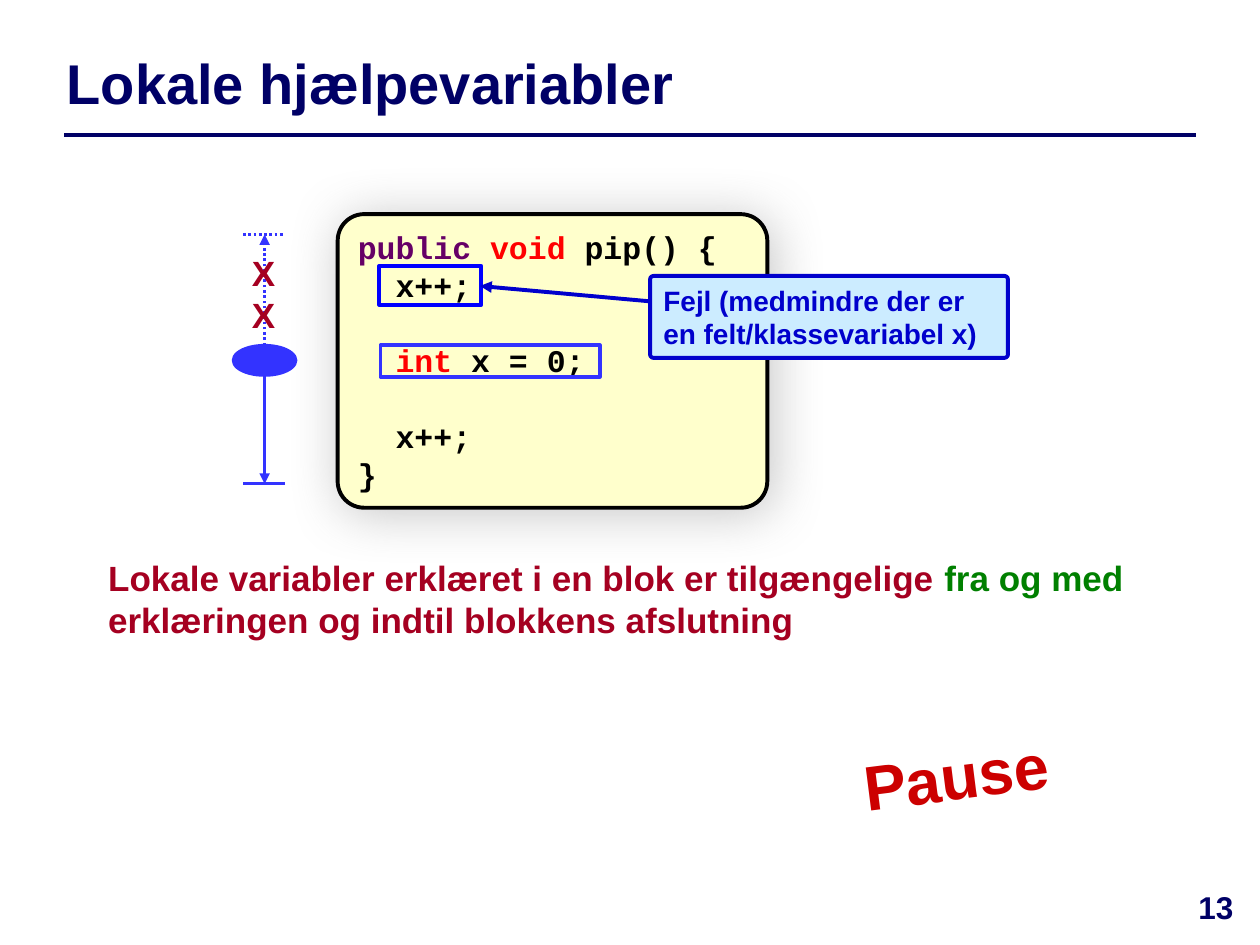
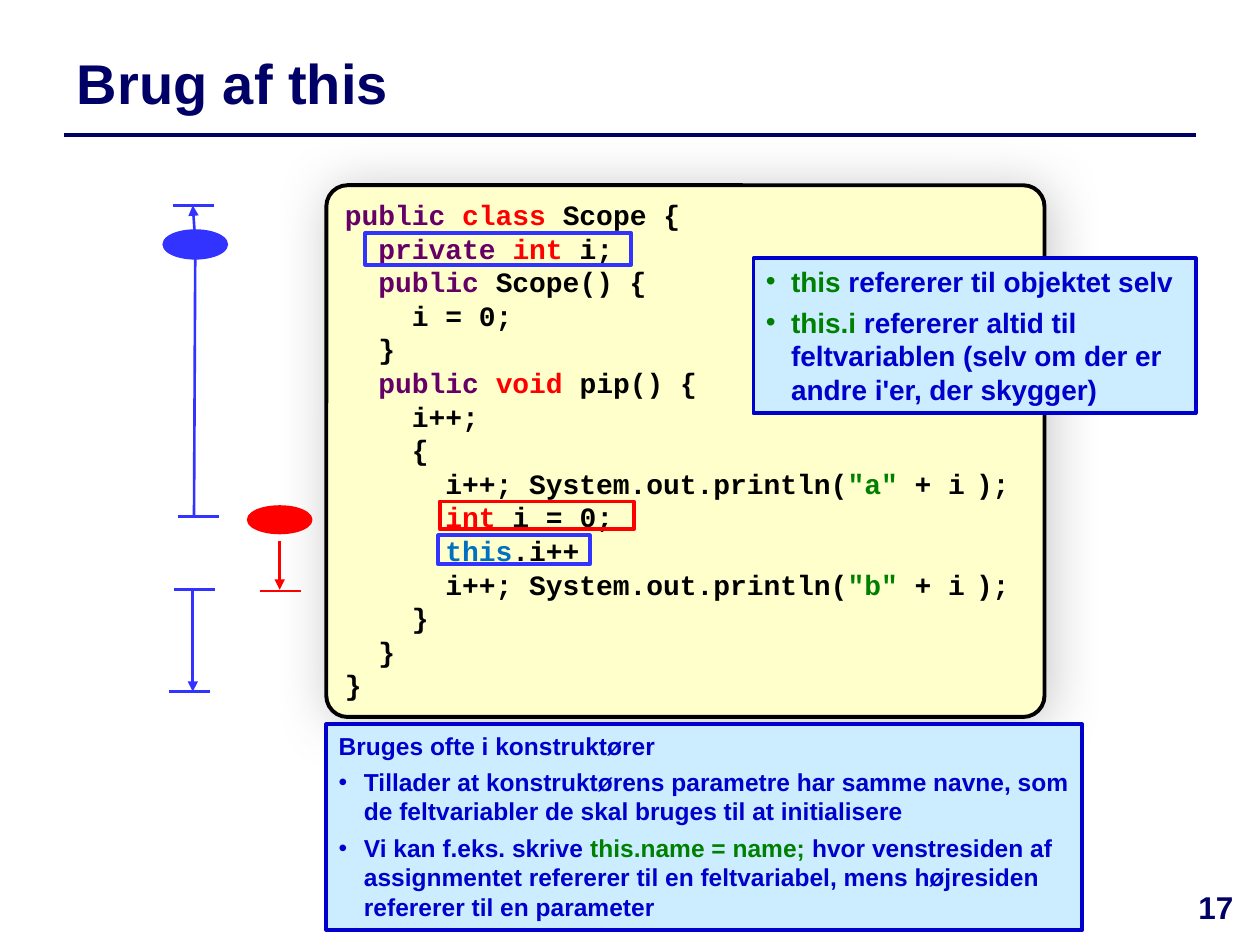
"""Build two slides on the scope of local variables and the use of this."""
from dataclasses import dataclass

from lxml.etree import SubElement
from pptx import Presentation
from pptx.dml.color import RGBColor
from pptx.enum.dml import MSO_LINE as Dash
from pptx.enum.shapes import MSO_CONNECTOR as Connector, MSO_SHAPE as Shape
from pptx.enum.text import MSO_ANCHOR as Anchor, PP_ALIGN as Align
from pptx.oxml.ns import qn
from pptx.util import Pt

PX = 9144


@dataclass(frozen=True)
class Theme:
    sans: str = "Arial"
    mono: str = "Courier New"
    navy: str = "000066"
    ink: str = "000000"
    purple: str = "660066"
    red: str = "FF0000"
    green: str = "008000"
    sky: str = "0070C0"
    crimson: str = "A50021"
    pause_red: str = "CC0000"
    note_blue: str = "0000CC"
    note_fill: str = "CCECFF"
    code_fill: str = "FFFFCC"
    scope_blue: str = "3333FF"
    frame_blue: str = "0000FF"
    shadow: str = "808080"
    title: float = 32
    pause: float = 36
    body: float = 20
    number: float = 18
    code: float = 18
    note: float = 16
    small: float = 14
    narrow: float = 10.5
    leading: float = 1.2
    thick: float = 2.25
    thin: float = 1.5


theme = Theme()


def draw(page, at, lines=(), size=theme.note, color=theme.note_blue, font=theme.sans,
         kind=None, fill=None, edge=None, weight=theme.thick, align=Align.LEFT,
         gaps=None, bullets=()):
    """Add a text box or preset shape and write its lines run by run."""
    place = [value * PX for value in at]
    if kind is None:
        box = page.shapes.add_textbox(*place)
    else:
        box = page.shapes.add_shape(kind, *place)
        box.shadow.inherit = False
        box.line.color.rgb = RGBColor.from_string(edge)
        box.line.width = Pt(weight)
        if fill:
            box.fill.solid()
            box.fill.fore_color.rgb = RGBColor.from_string(fill)
        else:
            box.fill.background()
    frame = box.text_frame
    frame.word_wrap = True
    frame.vertical_anchor = Anchor.TOP
    for index, line in enumerate(lines):
        para = frame.add_paragraph() if index else frame.paragraphs[0]
        para.alignment = align
        para.line_spacing = Pt(size * theme.leading)
        if gaps and index in gaps:
            para.space_before = Pt(gaps[index])
        if index in bullets:
            props = para._p.get_or_add_pPr()
            props.set("marL", str(20 * PX))
            props.set("indent", str(-20 * PX))
            SubElement(props, qn("a:buFont")).set("typeface", theme.sans)
            SubElement(props, qn("a:buChar")).set("char", "•")
        for part in line:
            text, tint, points = (part, color, size) if isinstance(part, str) else (*part, size)[:3]
            span = para.add_run()
            span.text = text
            span.font.name = font
            span.font.size = Pt(points)
            span.font.bold = True
            span.font.color.rgb = RGBColor.from_string(tint)
    return box


def connect(page, ends, color=theme.scope_blue, weight=theme.thin, arrow=False, dash=None):
    """Add a straight line, with an arrowhead at its end if wanted."""
    line = page.shapes.add_connector(Connector.STRAIGHT, *[value * PX for value in ends])
    line.line.color.rgb = RGBColor.from_string(color)
    line.line.width = Pt(weight)
    if dash:
        line.line.dash_style = dash
    if arrow:
        SubElement(line.line._get_or_add_ln(), qn("a:tailEnd")).set("type", "triangle")
    SubElement(line.element.spPr, qn("a:effectLst"))


deck = Presentation()
deck.slide_width = 1000 * PX
deck.slide_height = 750 * PX

public = ("public ", theme.purple)
void = ("void ", theme.red)
thin_space = (" ", theme.ink, theme.narrow)
local_code = [
    [public, void, "pip() {"],
    ["  x++;"],
    ["  ", ("int ", theme.red), "x = 0;"],
    ["  x++;"],
    ["}"],
]
this_code = [
    [public, ("class ", theme.red), "Scope {"],
    ["  ", ("private ", theme.purple), ("int ", theme.red), "i;"],
    ["  ", public, "Scope() {"],
    ["    i = 0;"],
    ["  }"],
    ["  ", public, void, "pip() {"],
    ["    i++;"],
    ["    {"],
    ["      i++; System.out.println(", ('"a"', theme.green), " + i", thin_space, ");"],
    ["      ", ("int", theme.red), " i = 0;"],
    ["      ", ("this", theme.sky), ".i++"],
    ["      i++; System.out.println(", ('"b" ', theme.green), "+ i", thin_space, ");"],
    ["    }"],
    ["  }"],
    ["}"],
]
blank_line = theme.code * theme.leading

pages = []
for title, title_left, number, code, code_at, code_size, corner, code_gaps in (
    ("Lokale hjælpevariabler", 43, "13", local_code, (268, 170, 341, 233), theme.code, 0.09,
     {2: blank_line, 3: blank_line}),
    ("Brug af this", 51, "17", this_code, (259, 147, 570, 422), theme.note, 0.04, None),
):
    page = deck.slides.add_slide(deck.slide_layouts[5])
    pages.append(page)
    heading = page.shapes.title
    heading.left, heading.top = title_left * PX, 28 * PX
    heading.width, heading.height = (949 - title_left) * PX, 75 * PX
    heading.text_frame.vertical_anchor = Anchor.MIDDLE
    para = heading.text_frame.paragraphs[0]
    para.alignment = Align.LEFT
    span = para.add_run()
    span.text = title
    span.font.name = theme.sans
    span.font.size = Pt(theme.title)
    span.font.bold = True
    span.font.color.rgb = RGBColor.from_string(theme.navy)
    connect(page, (51, 107, 949, 107), theme.navy, 2)
    draw(page, (930, 700, 70, 50), [[number]], theme.number, theme.navy, align=Align.CENTER)

    panel = draw(page, code_at, code, code_size, theme.ink, theme.mono, Shape.ROUNDED_RECTANGLE,
                 theme.code_fill, theme.ink, gaps=code_gaps)
    panel.adjustments[0] = corner
    effects = panel.element.spPr.find(qn("a:effectLst"))
    shadow = SubElement(effects, qn("a:outerShdw"), blurRad=str(Pt(30)), dist=str(Pt(3)),
                        dir="2700000", algn="tl", rotWithShape="0")
    tint = SubElement(shadow, qn("a:srgbClr"), val=theme.shadow)
    SubElement(tint, qn("a:alpha"), val="43000")

local_page, this_page = pages

for page, at, edge in (
    (local_page, (302, 274, 174, 25), theme.scope_blue),
    (local_page, (301, 211, 81, 31), theme.frame_blue),
    (this_page, (349, 398, 154, 22), theme.red),
    (this_page, (290, 185, 211, 25), theme.scope_blue),
    (this_page, (348, 425, 120, 23), theme.scope_blue),
):
    draw(page, at, kind=Shape.RECTANGLE, edge=edge)

for page, at, color in (
    (local_page, (185, 274, 50, 24), theme.scope_blue),
    (this_page, (130, 183, 50, 22), theme.scope_blue),
    (this_page, (197, 402, 50, 21), theme.red),
):
    draw(page, at, kind=Shape.OVAL, fill=color, edge=color, weight=theme.thin)

for page, ends, color, arrow, dash in (
    (local_page, (210, 298, 210, 384), theme.scope_blue, True, None),
    (local_page, (210, 274, 210, 186), theme.scope_blue, True, Dash.ROUND_DOT),
    (this_page, (155, 192, 153, 163), theme.scope_blue, True, None),
    (this_page, (155, 192, 154, 410), theme.scope_blue, False, None),
    (this_page, (153, 468, 153, 549), theme.scope_blue, True, None),
    (this_page, (222, 429, 222, 468), theme.red, True, None),
):
    connect(page, ends, color, arrow=arrow, dash=dash)

for page, left, top, color, dash in (
    (local_page, 193, 384, theme.scope_blue, None),
    (local_page, 193, 186, theme.scope_blue, Dash.ROUND_DOT),
    (this_page, 137, 163, theme.scope_blue, None),
    (this_page, 141, 410, theme.scope_blue, None),
    (this_page, 138, 468, theme.scope_blue, None),
    (this_page, 134, 549, theme.scope_blue, None),
    (this_page, 206, 469, theme.red, None),
):
    connect(page, (left, top, left + 33, top), color, dash=dash)

draw(local_page, (76, 437, 881, 77), [[
    "Lokale variabler erklæret i en blok er tilgængelige ",
    ("fra og med ", theme.green),
    "erklæringen og indtil blokkens afslutning",
]], theme.body, theme.crimson)
draw(local_page, (190, 195, 39, 77), [["X"], ["X"]], theme.body, theme.crimson)
pause = draw(local_page, (623, 580, 272, 71), [["Pause"]], theme.pause, theme.pause_red,
             align=Align.CENTER)
pause.rotation = 352.8
connect(local_page, (547, 242, 381, 227), theme.note_blue, theme.thick, arrow=True)
callout = draw(local_page, (516, 219, 284, 65),
               [["Fejl (medmindre der er en felt/klassevariabel x)"]],
               kind=Shape.ROUNDED_RECTANGLE, fill=theme.note_fill, edge=theme.note_blue)
callout.adjustments[0] = 0.04

draw(this_page, (598, 205, 351, 123), [
    [("this ", theme.green), "refererer til objektet selv"],
    [("this.i", theme.green),
     " refererer altid til feltvariablen (selv om der er andre i'er, der skygger)"],
], kind=Shape.RECTANGLE, fill=theme.note_fill, edge=theme.note_blue, gaps={1: 4}, bullets=(0, 1))
draw(this_page, (259, 575, 600, 163), [
    ["Bruges ofte i konstruktører"],
    ["Tillader at konstruktørens parametre har samme navne, "
     "som de feltvariabler de skal bruges til at initialisere"],
    ["Vi kan f.eks. skrive ", ("this.name = name; ", theme.green),
     "hvor venstresiden af assignmentet refererer til en feltvariabel, "
     "mens højresiden refererer til en parameter"],
], theme.small, kind=Shape.RECTANGLE, fill=theme.note_fill, edge=theme.note_blue,
     gaps={1: 4, 2: 4}, bullets=(1, 2))

deck.save("out.pptx")
